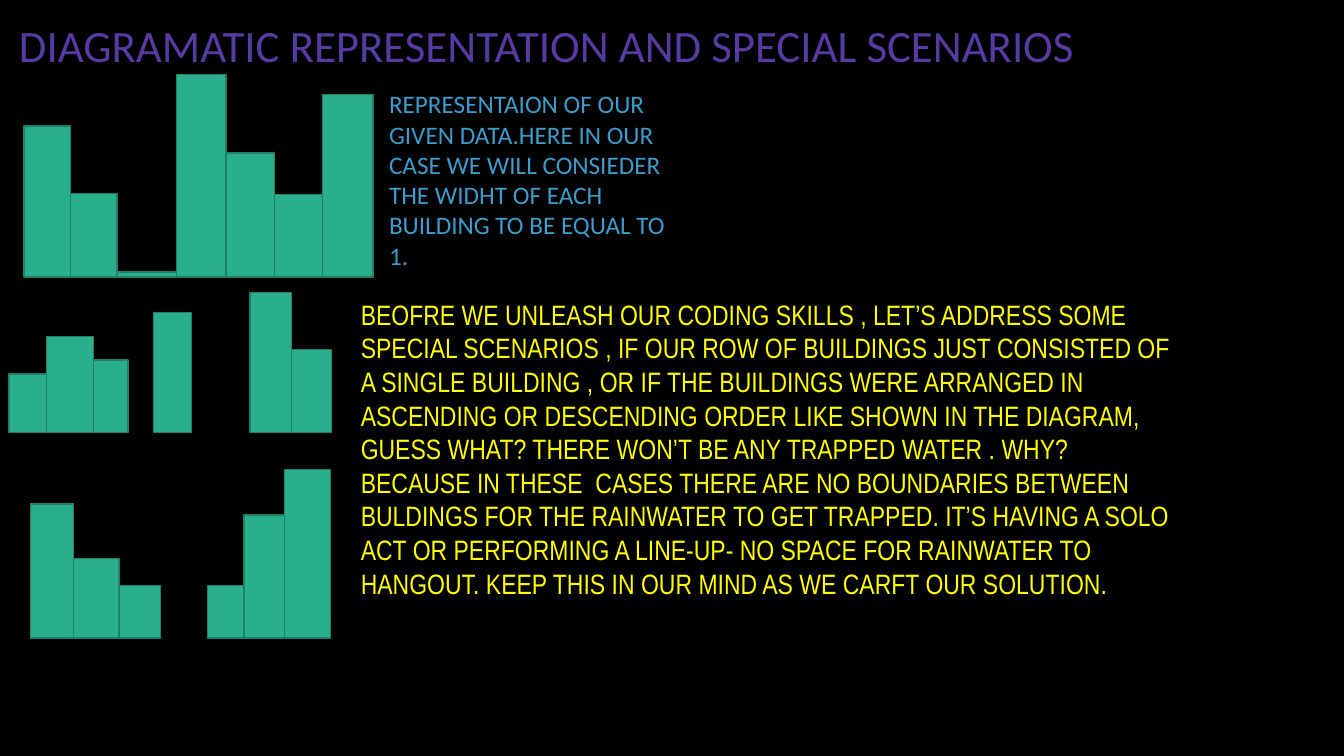
from dataclasses import dataclass

from pptx import Presentation
from pptx import util as u
from pptx.dml import color
from pptx.enum import shapes, text
from pptx.slide import Slide

COLOURS = {
    "background": "000000",
    "building": "29AF8C",
    "outline": "1E8168",
    "title": "573AA2",
    "caption": "3D9CCC",
    "scenarios": "FFFF00",
}


@dataclass(frozen=True)
class Building:
    width: float
    height: float


@dataclass(frozen=True)
class BuildingRow:
    left: float
    ground: float
    buildings: tuple[Building, ...]


@dataclass(frozen=True)
class TextBlock:
    words: str
    left: float
    top: float
    width: float
    height: float
    size: int
    font: str
    colour: str
    anchor: text.MSO_ANCHOR = text.MSO_ANCHOR.TOP
    line_spacing: float = 1.0


BUILDING_ROWS = (
    BuildingRow(0.24, 2.75, (
        Building(0.46, 1.5), Building(0.46, 0.83), Building(0.59, 0.05),
        Building(0.49, 2.01), Building(0.48, 1.23), Building(0.48, 0.82),
        Building(0.5, 1.81),
    )),
    BuildingRow(0.09, 4.29, (
        Building(0.37, 0.58), Building(0.47, 0.95), Building(0.34, 0.72),
    )),
    BuildingRow(1.52, 4.29, (Building(0.38, 1.19),)),
    BuildingRow(2.48, 4.29, (Building(0.41, 1.39), Building(0.4, 0.82))),
    BuildingRow(0.3, 6.33, (
        Building(0.43, 1.33), Building(0.45, 0.79), Building(0.41, 0.52),
    )),
    BuildingRow(2.06, 6.33, (
        Building(0.36, 0.52), Building(0.4, 1.22), Building(0.46, 1.67),
    )),
)

TEXT_BLOCKS = (
    TextBlock(
        "DIAGRAMATIC REPRESENTATION AND SPECIAL SCENARIOS",
        0.09, 0.03, 11.5, 0.9, 32, "Calibri", "title",
        text.MSO_ANCHOR.MIDDLE, 0.9,
    ),
    TextBlock(
        "REPRESENTAION OF OUR GIVEN DATA.HERE IN OUR CASE WE WILL CONSIEDER "
        "THE WIDHT OF EACH BUILDING TO BE EQUAL TO 1.",
        3.76, 0.83, 3.05, 1.92, 18, "Calibri", "caption",
    ),
    TextBlock(
        "BEOFRE WE UNLEASH OUR CODING SKILLS , LET’S ADDRESS SOME SPECIAL "
        "SCENARIOS , IF OUR ROW OF BUILDINGS JUST CONSISTED OF A SINGLE "
        "BUILDING , OR IF THE BUILDINGS WERE ARRANGED IN ASCENDING OR "
        "DESCENDING ORDER LIKE SHOWN IN THE DIAGRAM, GUESS WHAT? THERE WON’T "
        "BE ANY TRAPPED WATER . WHY? BECAUSE IN THESE  CASES THERE ARE NO "
        "BOUNDARIES BETWEEN BULDINGS FOR THE RAINWATER TO GET TRAPPED. IT’S "
        "HAVING A SOLO ACT OR PERFORMING A LINE-UP- NO SPACE FOR RAINWATER TO "
        "HANGOUT. KEEP THIS IN OUR MIND AS WE CARFT OUR SOLUTION.",
        3.48, 2.9, 8.32, 3.13, 20, "Arial Narrow", "scenarios",
    ),
)


def colour(name: str) -> color.RGBColor:
    return color.RGBColor.from_string(COLOURS[name])


def draw_row(page: Slide, row: BuildingRow) -> None:
    left = row.left
    for building in row.buildings:
        block = page.shapes.add_shape(
            shapes.MSO_SHAPE.RECTANGLE,
            u.Inches(left), u.Inches(row.ground - building.height),
            u.Inches(building.width), u.Inches(building.height),
        )
        block.shadow.inherit = False
        block.fill.solid()
        block.fill.fore_color.rgb = colour("building")
        block.line.color.rgb = colour("outline")
        block.line.width = u.Pt(1)
        left += building.width


def draw_text(page: Slide, block: TextBlock) -> None:
    box = page.shapes.add_textbox(
        u.Inches(block.left), u.Inches(block.top),
        u.Inches(block.width), u.Inches(block.height),
    )
    frame = box.text_frame
    frame.word_wrap = True
    frame.vertical_anchor = block.anchor
    frame.text = block.words
    para = frame.paragraphs[0]
    para.line_spacing = block.line_spacing
    span = para.runs[0]
    span.font.size = u.Pt(block.size)
    span.font.name = block.font
    span.font.color.rgb = colour(block.colour)


def main() -> None:
    deck = Presentation()
    deck.slide_width = u.Inches(13.33)
    deck.slide_height = u.Inches(7.5)
    page = deck.slides.add_slide(deck.slide_layouts[6])
    page.background.fill.solid()
    page.background.fill.fore_color.rgb = colour("background")
    for row in BUILDING_ROWS:
        draw_row(page, row)
    for block in TEXT_BLOCKS:
        draw_text(page, block)
    deck.save("out.pptx")


if __name__ == "__main__":
    main()
